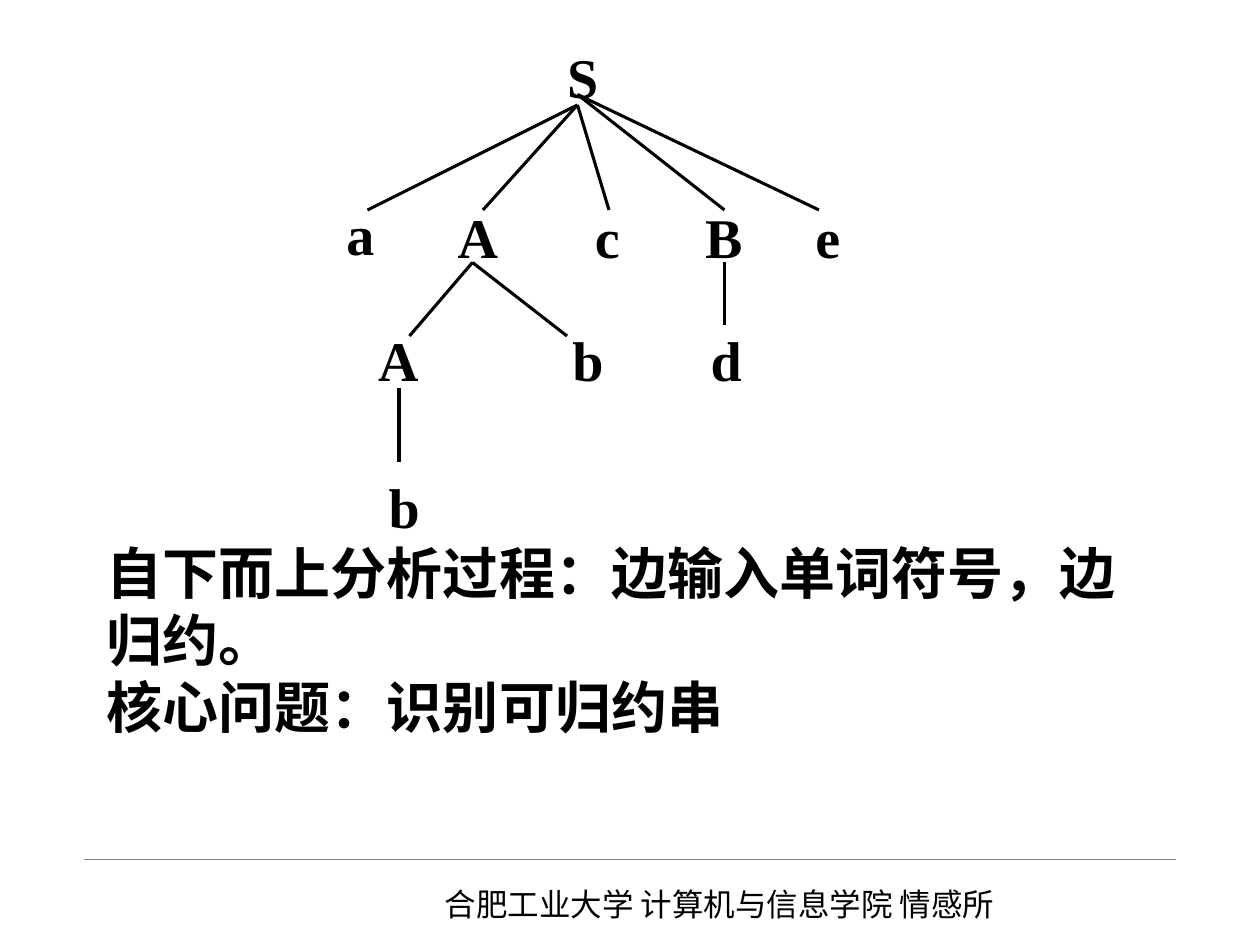
"""Build a slide showing a bottom-up parse tree with its explanation."""
import pptx
import pptx.dml.color
import pptx.enum.shapes
import pptx.enum.text
import pptx.oxml.ns
import pptx.util
from lxml import etree

Pt = pptx.util.Pt
COLORS = {"ink": "000000", "rule": "808080"}
LATIN_FONT = "Times New Roman"
CHINESE_FONT = "Noto Sans CJK SC"

NODES = [
    ("S", 324, 24, 18),
    ("a", 198, 114, 16),
    ("A", 261.5, 116, 23),
    ("c", 340, 116, 14),
    ("B", 403, 116, 21.5),
    ("e", 466, 116, 14),
    ("A", 216, 186, 23),
    ("b", 327, 186, 18),
    ("d", 406, 186, 18),
    ("b", 222, 270, 18),
]
BRANCHES = [
    ((330, 60), [(210, 120), (276, 120), (348, 120)]),
    ((330, 54), [(414, 120), (468, 120)]),
    ((270, 150), [(234, 192), (324, 192)]),
    ((414, 150), [(414, 186)]),
    ((228, 222), [(228, 264)]),
]


def rgb(name):
    return pptx.dml.color.RGBColor.from_string(COLORS[name])


def add_line(slide, start, end, color="ink", width=1.75):
    line = slide.shapes.add_connector(
        pptx.enum.shapes.MSO_CONNECTOR.STRAIGHT, *map(Pt, start + end)
    )
    line.line.color.rgb = rgb(color)
    line.line.width = Pt(width)
    properties = line._element.spPr
    etree.SubElement(properties, pptx.oxml.ns.qn("a:effectLst"))


def style_paragraph(paragraph, font_name, size, bold):
    font = paragraph.font
    font.size = Pt(size)
    font.bold = bold
    font.color.rgb = rgb("ink")
    font.name = font_name
    defaults = paragraph._p.pPr.find(pptx.oxml.ns.qn("a:defRPr"))
    etree.SubElement(defaults, pptx.oxml.ns.qn("a:ea"), typeface=font_name)


def add_text(slide, lines, box, font_name, size, bold=True):
    shape = slide.shapes.add_textbox(*map(Pt, box))
    frame = shape.text_frame
    frame.word_wrap = True
    frame.text = "\n".join(lines)
    for paragraph in frame.paragraphs:
        style_paragraph(paragraph, font_name, size, bold)
    return frame


def add_node(slide, symbol, left, top, width):
    frame = add_text(slide, [symbol], (left, top, width, 38), LATIN_FONT, 32)
    frame.word_wrap = False
    frame.margin_left = frame.margin_right = 0
    frame.margin_top = frame.margin_bottom = 0
    frame.paragraphs[0].alignment = pptx.enum.text.PP_ALIGN.JUSTIFY


def add_tree(slide):
    for node in NODES:
        add_node(slide, *node)
    for parent, children in BRANCHES:
        for child in children:
            add_line(slide, parent, child)


def add_footer(slide):
    add_line(slide, (48, 491), (672, 491), "rule", 0.25)
    add_text(
        slide,
        ["合肥工业大学 计算机与信息学院 情感所"],
        (247, 502, 346, 29),
        CHINESE_FONT,
        18,
        bold=False,
    )


def main():
    presentation = pptx.Presentation()
    presentation.slide_width = Pt(720)
    presentation.slide_height = Pt(540)
    slide = presentation.slides.add_slide(presentation.slide_layouts[6])
    add_footer(slide)
    add_tree(slide)
    add_text(
        slide,
        ["自下而上分析过程：边输入单词符号，边归约。", "核心问题：识别可归约串"],
        (54, 304, 612, 174),
        CHINESE_FONT,
        32,
    )
    presentation.save("out.pptx")


if __name__ == "__main__":
    main()
